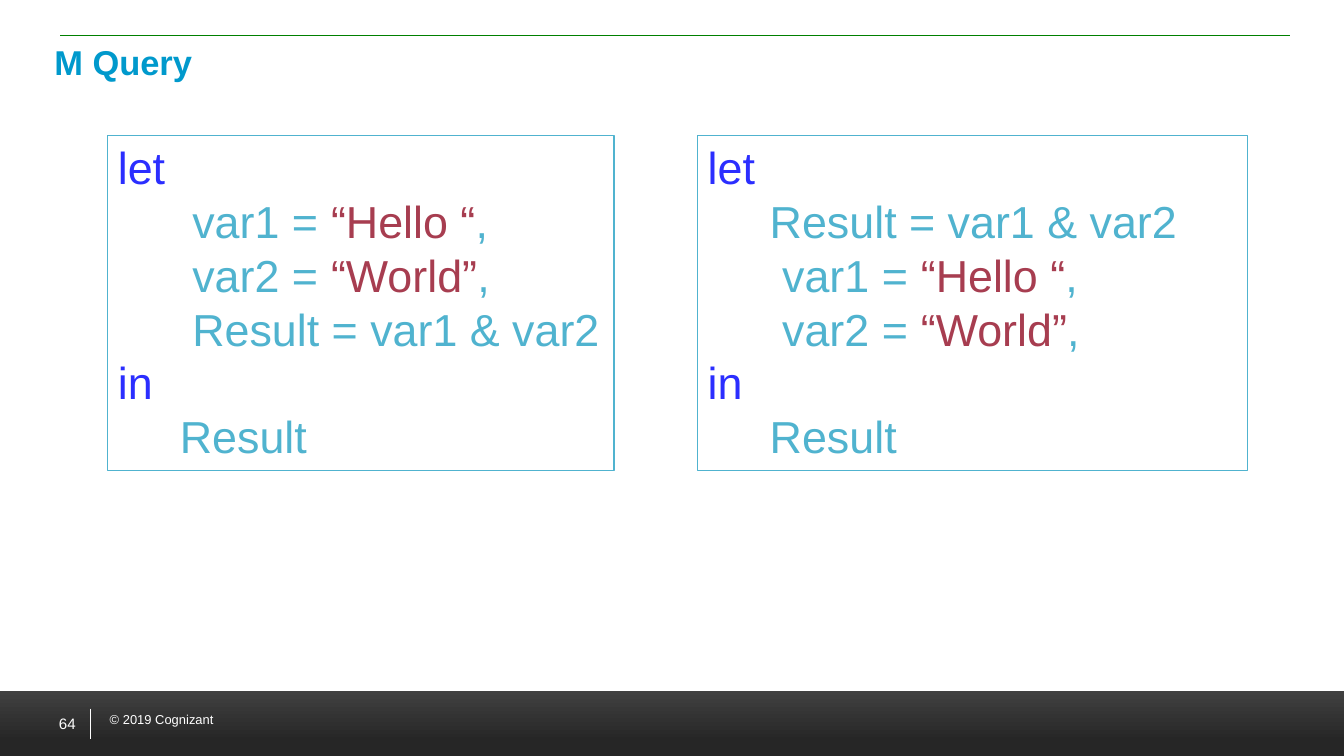
from lxml.etree import SubElement
from pptx import Presentation
from pptx.dml.color import RGBColor
from pptx.enum.shapes import MSO_CONNECTOR, MSO_SHAPE
from pptx.enum.text import MSO_ANCHOR, PP_ALIGN
from pptx.oxml.ns import qn
from pptx.util import Inches, Pt

WHITE, TITLE_BLUE, RULE_GREEN = "FFFFFF", "0099CC", "008000"
KEYWORD, PLAIN, STRING = "2B2EFF", "50B3CF", "A73D50"

# Code lines, each a list of (text, colour) parts
LET = [("let", KEYWORD)]
IN = [("in", KEYWORD)]
HELLO = [("      var1 = ", PLAIN), ("“Hello “", STRING), (",", PLAIN)]
WORLD = [("      var2 = ", PLAIN), ("“World”", STRING), (",", PLAIN)]
RESULT = [("     Result", PLAIN)]
JOIN_LAST = [("      Result = var1 & var2", PLAIN)]
JOIN_FIRST = [("     Result = var1 & var2", PLAIN)]


def color(hex_string):
    return RGBColor.from_string(hex_string)


def write(paragraph, text, size=32, hex_color=WHITE, bold=False, align=PP_ALIGN.LEFT):
    paragraph.alignment = align
    run = paragraph.add_run()
    run.text = text
    run.font.name = "Arial"
    run.font.size = Pt(size)
    run.font.bold = bold
    run.font.color.rgb = color(hex_color)


def add_label(slide, box, text, anchor=MSO_ANCHOR.TOP, **text_format):
    frame = slide.shapes.add_textbox(*map(Inches, box)).text_frame
    frame.word_wrap = True
    frame.vertical_anchor = anchor
    write(frame.paragraphs[0], text, **text_format)


def add_rule(slide, start, end, hex_color):
    line = slide.shapes.add_connector(MSO_CONNECTOR.STRAIGHT, *map(Inches, start + end))
    line.line.color.rgb = color(hex_color)
    line.line.width = Pt(0.5)
    SubElement(line._element.spPr, qn("a:effectLst"))


def add_header(slide, left, top, width, height):
    add_rule(slide, (left + 0.16, top - 0.01), (left + width + 0.01, top - 0.01), RULE_GREEN)
    add_label(slide, (left, top, width, height), "M Query",
              size=24.6, hex_color=TITLE_BLUE, bold=True)


def add_footer(slide, left, top, width, height):
    # Gradient band, lighter at the top
    band = slide.shapes.add_shape(MSO_SHAPE.RECTANGLE, *map(Inches, (left, top, width, height)))
    band.shadow.inherit = False
    band.line.fill.background()
    band.fill.gradient()
    band.fill.gradient_angle = 90
    for stop, (position, shade) in zip(band.fill.gradient_stops, [(0.24, "262626"), (1, "404040")]):
        stop.position = position
        stop.color.rgb = color(shade)

    # Page number, divider and copyright line
    add_label(slide, (left + 0.06, top + 0.04, 0.79, 0.55), "64",
              anchor=MSO_ANCHOR.MIDDLE, size=10.8, align=PP_ALIGN.RIGHT)
    add_rule(slide, (left + 0.9, top + 0.17), (left + 0.9, top + 0.47), WHITE)
    add_label(slide, (left + 0.99, top + 0.15, 2.8, 0.26), "© 2019 Cognizant", size=9.2)


def add_code_box(slide, left, top, width, height, lines, wrap=True):
    box = slide.shapes.add_shape(MSO_SHAPE.RECTANGLE, *map(Inches, (left, top, width, height)))
    box.shadow.inherit = False
    box.fill.background()
    box.line.color.rgb = color(PLAIN)
    box.line.width = Pt(0.75)
    frame = box.text_frame
    frame.word_wrap = wrap
    frame.vertical_anchor = MSO_ANCHOR.TOP
    for index, line in enumerate(lines):
        paragraph = frame.add_paragraph() if index else frame.paragraphs[0]
        for text, hex_color in line:
            write(paragraph, text, hex_color=hex_color)


def main():
    presentation = Presentation()
    presentation.slide_width = Inches(13.33)
    presentation.slide_height = Inches(7.5)
    slide = presentation.slides.add_slide(presentation.slide_layouts[6])

    add_footer(slide, 0, 6.86, 13.33, 0.65)
    add_header(slide, 0.44, 0.36, 12.34, 0.66)
    add_code_box(slide, 1.07, 1.34, 5.02, 3.33,
                 [LET, HELLO, WORLD, JOIN_LAST, IN, RESULT], wrap=False)
    add_code_box(slide, 6.92, 1.34, 5.45, 3.33,
                 [LET, JOIN_FIRST, HELLO, WORLD, IN, RESULT])

    presentation.save("out.pptx")


if __name__ == "__main__":
    main()
